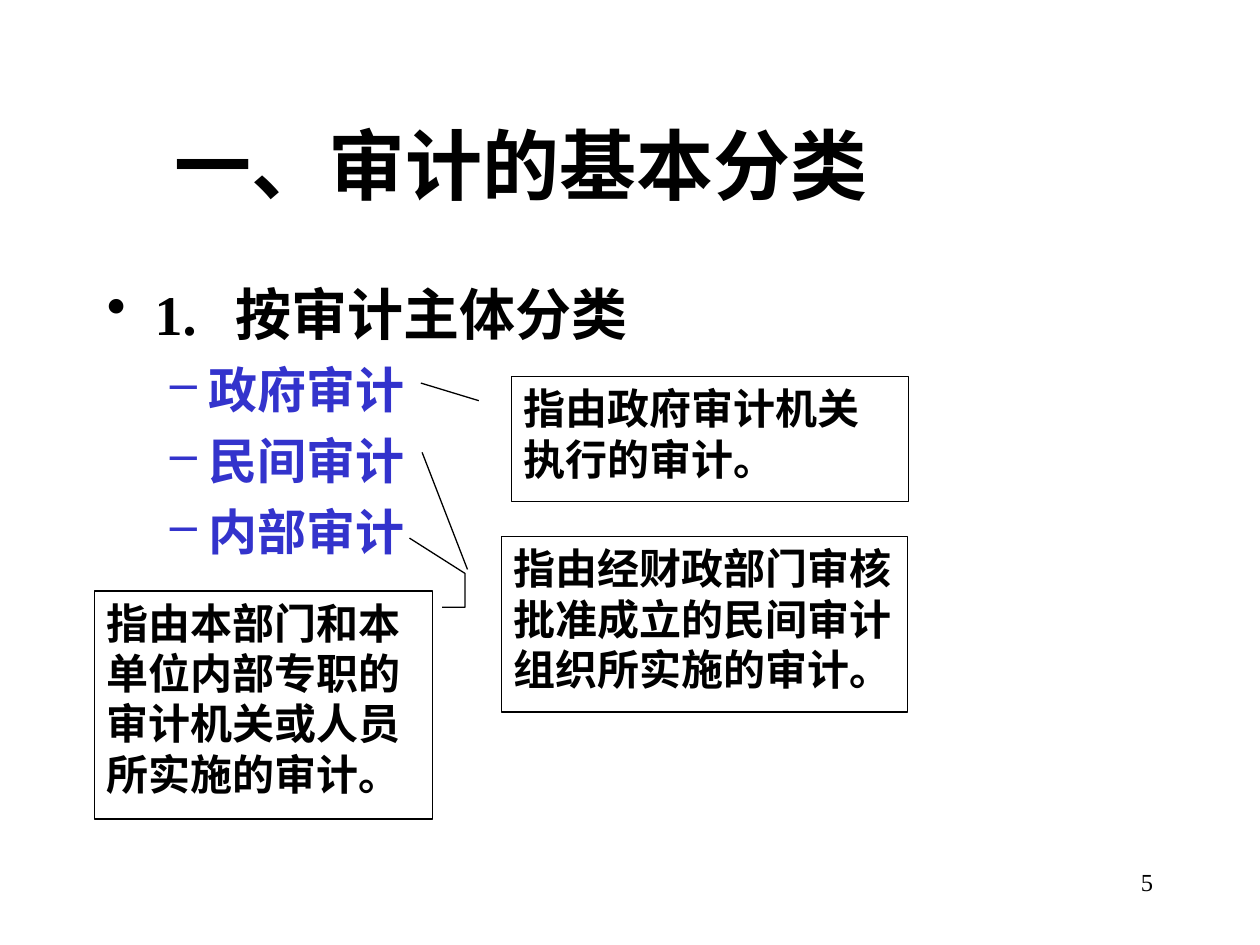
from dataclasses import dataclass
from lxml.etree import SubElement
from pptx import Presentation
from pptx.dml.color import RGBColor as RGB
from pptx.enum.shapes import MSO_SHAPE as SHAPE
from pptx.enum.text import MSO_ANCHOR as ANCHOR, PP_ALIGN as ALIGN
from pptx.oxml.ns import qn
from pptx.util import Inches, Pt


@dataclass(frozen=True)
class Theme:
    font: str = "Times New Roman"
    ink: RGB = RGB(0, 0, 0)
    blue: RGB = RGB(0x33, 0x33, 0xCC)
    paper: RGB = RGB(255, 255, 255)
    title: int = 44
    head: int = 32
    item: int = 28
    note: int = 24
    page: int = 14
    rule: float = 0.75


THEME = Theme()


def style(para, size, color=THEME.ink, bold=True, align=ALIGN.LEFT):
    para.alignment = align
    values = {"name": THEME.font, "size": Pt(size), "bold": bold}
    for key, value in values.items():
        setattr(para.font, key, value)
    para.font.color.rgb = color


def add_box(slide, box, anchor=ANCHOR.TOP):
    frame = slide.shapes.add_textbox(*map(Inches, box)).text_frame
    frame.word_wrap = True
    frame.vertical_anchor = anchor
    return frame


def add_line(slide, box, text, anchor, **look):
    para = add_box(slide, box, anchor).paragraphs[0]
    para.text = text
    style(para, **look)


def set_bullet(para, mark, left, hang, color, stop=None):
    props = para._p.get_or_add_pPr()
    props.set("marL", str(Inches(left)))
    props.set("indent", str(-Inches(hang)))
    tint = SubElement(SubElement(props, qn("a:buClr")), qn("a:srgbClr"))
    tint.set("val", str(color))
    SubElement(props, qn("a:buChar")).set("char", mark)
    if stop:
        tab = SubElement(SubElement(props, qn("a:tabLst")), qn("a:tab"))
        tab.set("pos", str(Inches(stop)))
        tab.set("algn", "l")


def add_list(slide, box, head, items):
    frame = add_box(slide, box)
    para = frame.paragraphs[0]
    para.text = head
    set_bullet(para, "•", 0.38, 0.38, THEME.ink, 1.02)
    style(para, THEME.head)
    for item in items:
        para = frame.add_paragraph()
        para.text = item
        para.level = 1
        para.space_before = Pt(7)
        set_bullet(para, "–", 0.81, 0.31, THEME.blue)
        style(para, THEME.item, THEME.blue)


def add_note(slide, kind, box, text, points):
    left, top, width, height = box
    shape = slide.shapes.add_shape(kind, *map(Inches, box))
    for i, (x, y) in enumerate(points):
        shape.adjustments[2 * i] = (y - top) / height
        shape.adjustments[2 * i + 1] = (x - left) / width
    shape.shadow.inherit = False
    shape.fill.solid()
    shape.fill.fore_color.rgb = THEME.paper
    shape.line.color.rgb = THEME.ink
    shape.line.width = Pt(THEME.rule)
    frame = shape.text_frame
    frame.word_wrap = True
    frame.vertical_anchor = ANCHOR.TOP
    frame.text = text
    style(frame.paragraphs[0], THEME.note)


NOTES = [
    (SHAPE.LINE_CALLOUT_1, (4.06, 2.99, 3.15, 0.99),
     "指由政府审计机关执行的审计。",
     [(3.8, 3.18), (3.34, 3.04)]),
    (SHAPE.LINE_CALLOUT_1, (3.98, 4.26, 3.22, 1.39),
     "指由经财政部门审核批准成立的民间审计组织所实施的审计。",
     [(3.71, 4.52), (3.35, 3.59)]),
    (SHAPE.LINE_CALLOUT_3, (0.75, 4.69, 2.68, 1.81),
     "指由本部门和本单位内部专职的审计机关或人员所实施的审计。",
     [(3.51, 4.82), (3.69, 4.82), (3.69, 4.55), (3.25, 4.27)]),
]


def main():
    deck = Presentation()
    deck.slide_width, deck.slide_height = Inches(10), Inches(7.5)
    slide = deck.slides.add_slide(deck.slide_layouts[6])
    add_line(slide, (7.17, 6.83, 2.08, 0.5), "5", ANCHOR.TOP,
             size=THEME.page, bold=False, align=ALIGN.RIGHT)
    add_line(slide, (0.75, 0.67, 6.77, 1.25), "一、审计的基本分类",
             ANCHOR.MIDDLE, size=THEME.title, align=ALIGN.CENTER)
    add_list(slide, (0.75, 2.17, 6.77, 4.5), "1.\t按审计主体分类",
             ["政府审计", "民间审计", "内部审计"])
    for note in NOTES:
        add_note(slide, *note)
    deck.save("out.pptx")


if __name__ == "__main__":
    main()
